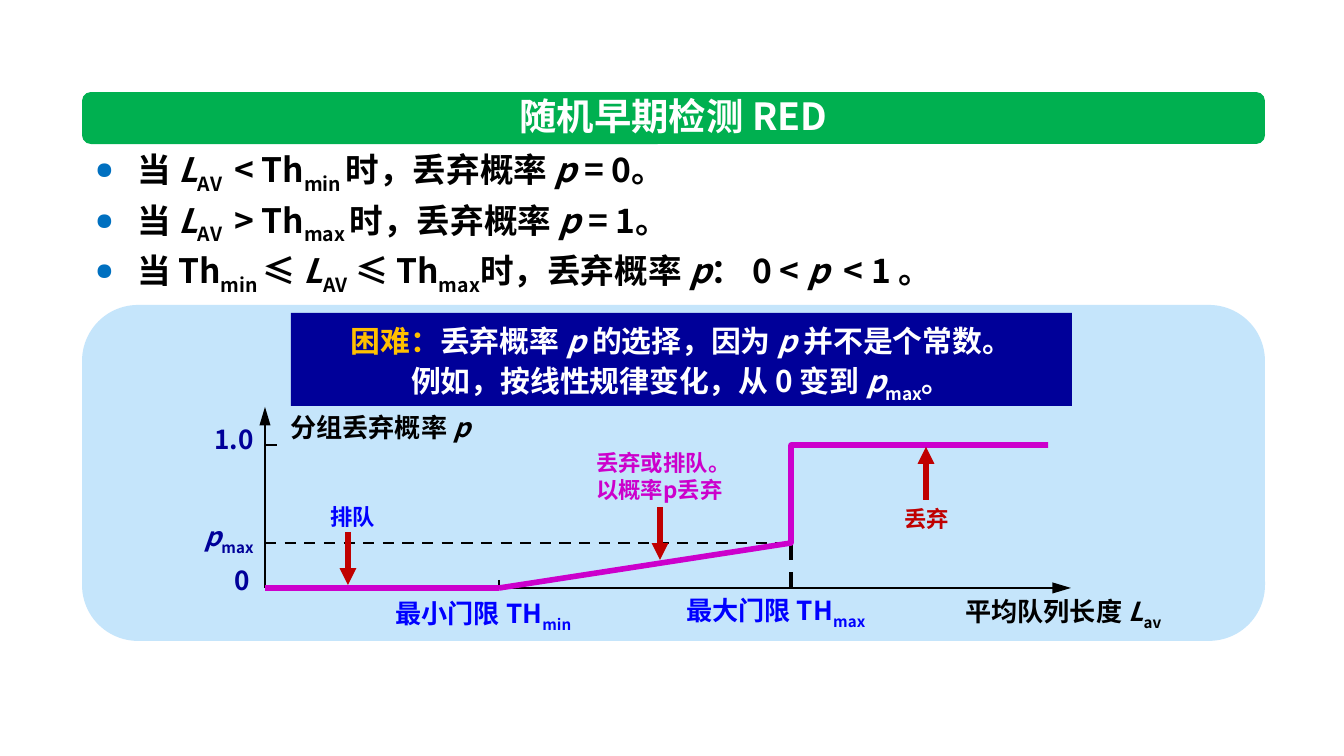
from dataclasses import dataclass

from lxml.etree import SubElement
from pptx import Presentation
from pptx.dml.color import RGBColor
from pptx.enum.dml import MSO_LINE_DASH_STYLE as Dash
from pptx.enum.shapes import MSO_AUTO_SHAPE_TYPE as ShapeType, MSO_CONNECTOR_TYPE as ConnectorType
from pptx.enum.text import MSO_AUTO_SIZE as AutoSize, MSO_ANCHOR as Anchor, PP_ALIGN as Align
from pptx.oxml.ns import qn
from pptx.util import Pt

SCALE = 914400 / 134.4
ORIGIN_X, ORIGIN_Y = 265, 588
MIN_X, MAX_X, CURVE_END_X = 499, 791, 1048
ONE_Y, PMAX_Y = 445, 543
AXIS_END_X, AXIS_TOP_Y = 1071, 407


@dataclass(frozen=True)
class Theme:
    font: str = "Noto Sans CJK SC"
    black: str = "000000"
    white: str = "FFFFFF"
    panel: str = "C5E5FB"
    green: str = "00B050"
    navy: str = "000099"
    blue: str = "0000FF"
    gold: str = "FFC000"
    magenta: str = "CC00CC"
    red: str = "C00000"
    bullet: str = "0070C0"
    title: int = 20
    body: int = 18
    callout: int = 16
    label: int = 14
    note: int = 12


THEME = Theme()


def px(value):
    return round(value * SCALE)


def color(code):
    return RGBColor.from_string(code)


def italic(text):
    return text, {"italic": True}


def sub(text):
    return text, {"baseline": "-25000"}


def tinted(text, code):
    return text, {"color": code}


def apply(target, formats):
    for name, value in formats.items():
        setattr(target, name, value)


def add_run(paragraph, piece, size, code):
    text, style = (piece, {}) if isinstance(piece, str) else piece
    run = paragraph.add_run()
    run.text = text
    apply(run.font, {"size": Pt(size), "bold": True, "name": THEME.font,
                     "italic": style.get("italic", False)})
    run.font.color.rgb = color(style.get("color", code))
    properties = run.font._element
    SubElement(properties, qn("a:ea")).set("typeface", THEME.font)
    if "baseline" in style:
        properties.set("baseline", style["baseline"])


def add_bullet(paragraph):
    properties = paragraph._p.get_or_add_pPr()
    properties.set("marL", str(px(42)))
    properties.set("indent", str(-px(42)))
    bullet_color = SubElement(properties, qn("a:buClr"))
    SubElement(bullet_color, qn("a:srgbClr")).set("val", THEME.bullet)
    SubElement(properties, qn("a:buSzPct")).set("val", "70000")
    SubElement(properties, qn("a:buChar")).set("char", "●")


def fill_text(shape, lines, size, code, bullets=False, wrap=True, **formats):
    frame = shape.text_frame
    apply(frame, {"word_wrap": wrap, "auto_size": AutoSize.SHAPE_TO_FIT_TEXT,
                  "vertical_anchor": Anchor.TOP})
    for index, pieces in enumerate(lines):
        paragraph = frame.add_paragraph() if index else frame.paragraphs[0]
        if bullets:
            add_bullet(paragraph)
        apply(paragraph, formats)
        for piece in pieces:
            add_run(paragraph, piece, size, code)


def add_text(slide, box, lines, size, code, **formats):
    shape = slide.shapes.add_textbox(*map(px, box))
    fill_text(shape, lines, size, code, **formats)


def add_block(slide, kind, box, fill, corner=None):
    shape = slide.shapes.add_shape(kind, *map(px, box))
    shape.shadow.inherit = False
    shape.fill.solid()
    shape.fill.fore_color.rgb = color(fill)
    shape.line.fill.background()
    if corner is not None:
        shape.adjustments[0] = corner
    return shape


def add_line(slide, start, end, code, width, dash=None, arrow=None):
    line = slide.shapes.add_connector(ConnectorType.STRAIGHT, *map(px, start + end))
    line.line.color.rgb = color(code)
    apply(line.line, {"width": Pt(width), "dash_style": dash})
    if arrow:
        tail = SubElement(line.line._get_or_add_ln(), qn("a:tailEnd"))
        tail.set("type", "triangle")
        tail.set("len", arrow)
    SubElement(line._element.spPr, qn("a:effectLst"))


def add_curve(slide, points, code, width):
    (start_x, start_y), *rest = [tuple(map(px, point)) for point in points]
    builder = slide.shapes.build_freeform(start_x, start_y)
    builder.add_line_segments(rest, close=False)
    shape = builder.convert_to_shape()
    shape.shadow.inherit = False
    shape.fill.background()
    shape.line.color.rgb = color(code)
    shape.line.width = Pt(width)


def add_header(slide):
    add_block(slide, ShapeType.ROUNDED_RECTANGLE, (82, 305, 1183, 336), THEME.panel)
    add_block(slide, ShapeType.ROUNDED_RECTANGLE, (82, 92, 1183, 52), THEME.green, 0.17)
    add_text(slide, (498, 87, 351, 59), [["随机早期检测 RED"]], THEME.title, THEME.white,
             wrap=False, alignment=Align.CENTER)
    average = [italic("L"), sub("AV ")]
    rules = [
        ["当 ", *average, f" {sign} Th", sub(f"{limit} "), "时，丢弃概率 ", italic("p"), f" = {value}。"]
        for sign, limit, value in (("<", "min", 0), (">", "max", 1))
    ]
    rules.append(["当 Th", sub("min "), "≤ ", italic("L"), sub("AV"), " ≤ Th", sub("max"),
                  "时，丢弃概率 ", italic("p"), "： 0 < ", italic("p "), " < 1 。"])
    add_text(slide, (82, 138, 1203, 167), rules, THEME.body, THEME.black,
             bullets=True, line_spacing=Pt(27))
    callout = add_block(slide, ShapeType.RECTANGLE, (291, 313, 781, 93), THEME.navy)
    fill_text(callout, [
        [tinted("困难：", THEME.gold), "丢弃概率 ", italic("p "), "的选择，因为 ", italic("p "),
         "并不是个常数。"],
        ["例如，按线性规律变化，从 0 变到 ", italic("p"), sub("max"), "。"],
    ], THEME.callout, THEME.white, alignment=Align.CENTER, line_spacing=1.1)


def add_axes(slide):
    origin = (ORIGIN_X, ORIGIN_Y)
    for end in ((AXIS_END_X, ORIGIN_Y), (ORIGIN_X, AXIS_TOP_Y)):
        add_line(slide, origin, end, THEME.black, 1.5, arrow="lg")
    add_line(slide, (MAX_X, PMAX_Y), (MAX_X, ORIGIN_Y), THEME.black, 2.25, Dash.DASH)
    add_line(slide, (MIN_X, ORIGIN_Y - 8), (MIN_X, ORIGIN_Y), THEME.black, 0.75)
    add_line(slide, (ORIGIN_X, ONE_Y), (ORIGIN_X + 12, ONE_Y), THEME.black, 0.75)
    add_line(slide, (ORIGIN_X, PMAX_Y), (MAX_X, PMAX_Y), THEME.black, 1.5, Dash.DASH)
    add_curve(slide, [(MIN_X, ORIGIN_Y), (MAX_X, PMAX_Y), (MAX_X, ONE_Y), (CURVE_END_X, ONE_Y)],
              THEME.magenta, 3)
    add_line(slide, origin, (MIN_X, ORIGIN_Y), THEME.magenta, 3)


def add_labels(slide):
    labels = [
        ((382, 591, 212, 46), ["最小门限 TH", sub("min")], THEME.blue, False, Align.LEFT),
        ((673, 588, 216, 46), ["最大门限 TH", sub("max")], THEME.blue, False, Align.LEFT),
        ((952, 589, 233, 46), ["平均队列长度 ", italic("L"), sub("av")], THEME.black, True, Align.LEFT),
        ((277, 405, 220, 46), ["分组丢弃概率 ", italic("p")], THEME.black, True, Align.LEFT),
        ((200, 417, 67, 46), ["1.0"], THEME.navy, False, Align.RIGHT),
        ((221, 558, 40, 42), ["0"], THEME.navy, False, Align.LEFT),
        ((185, 514, 82, 46), [italic("p"), sub("max")], THEME.navy, False, Align.RIGHT),
    ]
    for box, pieces, code, wrap, alignment in labels:
        add_text(slide, box, [pieces], THEME.label, code, wrap=wrap, alignment=alignment)


def add_notes(slide):
    notes = [
        ((317, 497, 102, 40), "排队", THEME.blue, (348, 532), (348, 585)),
        ((583, 443, 157, 67), "丢弃或排队。以概率p丢弃", THEME.magenta, (660, 507), (660, 560)),
        ((891, 499, 157, 40), "丢弃", THEME.red, (926, 500), (926, 447)),
    ]
    for box, text, code, start, end in notes:
        add_text(slide, box, [[text]], THEME.note, code)
        add_line(slide, start, end, THEME.red, 3, arrow="med")


def main():
    presentation = Presentation()
    apply(presentation, {"slide_width": px(1344), "slide_height": px(756)})
    slide = presentation.slides.add_slide(presentation.slide_layouts[6])
    add_header(slide)
    add_axes(slide)
    add_labels(slide)
    add_notes(slide)
    presentation.save("out.pptx")


if __name__ == "__main__":
    main()
